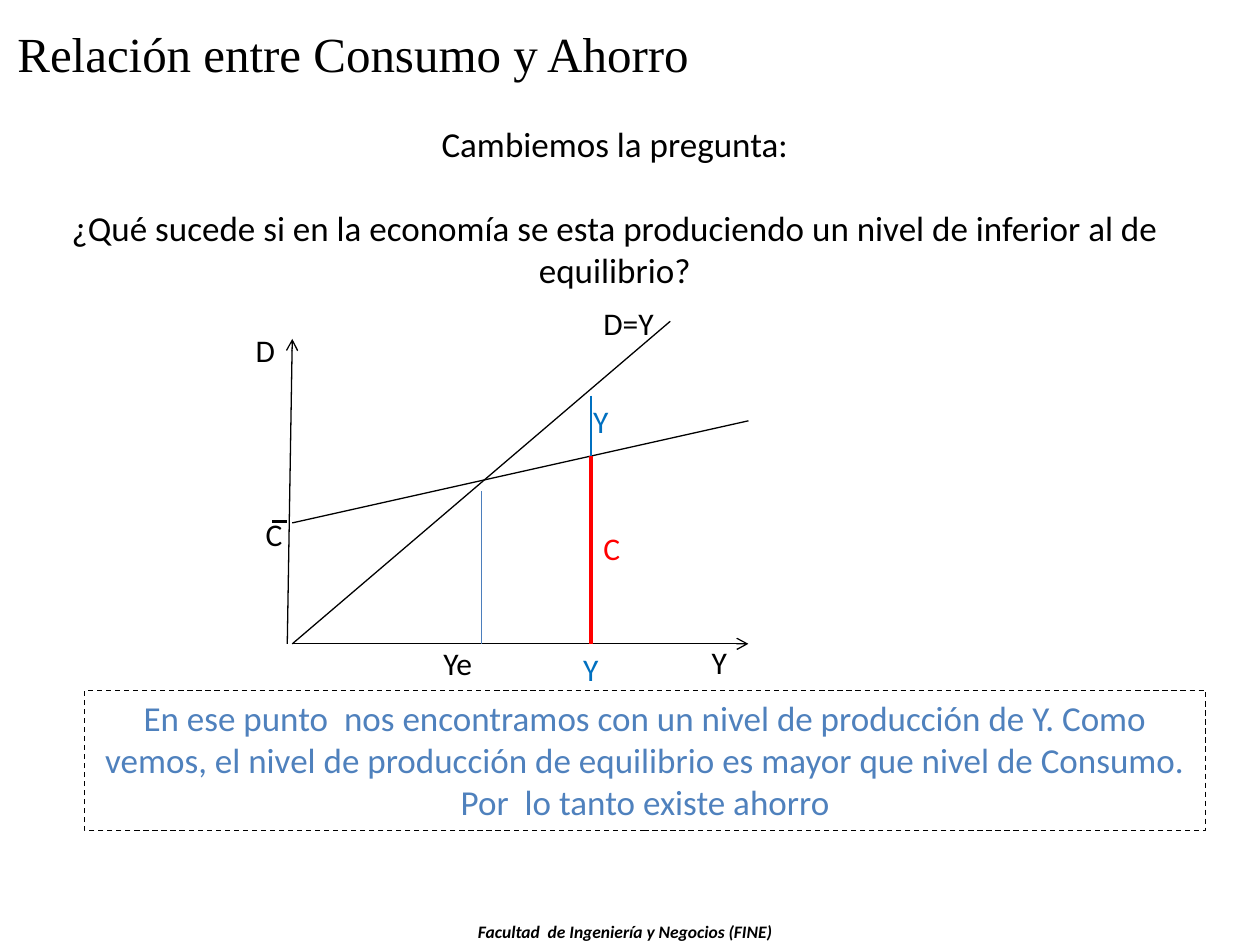
import pptx
import pptx.dml.color
import pptx.enum.dml
import pptx.enum.shapes
import pptx.enum.text
import pptx.oxml
import pptx.oxml.ns
import pptx.util

Inches = pptx.util.Inches
Align = pptx.enum.text.PP_ALIGN
Anchor = pptx.enum.text.MSO_ANCHOR
Fit = pptx.enum.text.MSO_AUTO_SIZE
COLORS = {
    "ink": "000000",
    "blue": "0070C0",
    "steel": "4B7EBC",
    "note": "4F81BD",
    "red": "FF0000",
}
BASE = 5.11
LEFT = 2.32
RIGHT = 5.94
LEVEL = 4.69

LINES = [
    ((2.28, BASE), (LEFT, 2.69), "ink", 0.75, True),
    ((LEFT, BASE), (RIGHT, BASE), "ink", 0.75, True),
    ((LEFT, BASE), (5.32, 2.55), "ink", 0.75, False),
    ((LEFT, 4.15), (RIGHT, 3.34), "ink", 0.75, False),
    ((3.82, 3.9), (3.82, BASE), "steel", 0.75, False),
    ((LEVEL, 3.14), (LEVEL, BASE), "blue", 0.75, False),
    ((LEVEL, 3.62), (LEVEL, BASE), "red", 2, False),
    ((2.16, 4.14), (2.28, 4.14), "ink", 1.5, False),
]
LABELS = [
    ("D", 1.93, 2.58, "ink"),
    ("C", 2.01, 4.04, "ink"),
    ("Y", 5.55, 5.05, "ink"),
    ("D=Y", LEVEL, 2.36, "ink"),
    ("Ye", 3.42, 5.06, "ink"),
    ("Y", 4.53, BASE, "blue"),
    ("Y", 4.61, 3.14, "blue"),
    ("C", LEVEL, 4.15, "red"),
]


def tint(name):
    return pptx.dml.color.RGBColor.from_string(COLORS[name])


def apply(item, values):
    for name, value in values.items():
        setattr(item, name, value)


def write(shape, texts, size, color="ink", align=Align.LEFT, gap=0,
          anchor=Anchor.TOP, fit=Fit.SHAPE_TO_FIT_TEXT, **style):
    frame = shape.text_frame
    apply(frame, {"word_wrap": True, "auto_size": fit, "vertical_anchor": anchor})
    face = {"name": "Calibri", "size": pptx.util.Pt(size), **style}
    for index, text in enumerate(texts):
        para = frame.add_paragraph() if index else frame.paragraphs[0]
        para.alignment = align
        if index and gap:
            para.space_before = pptx.util.Pt(gap)
        run = para.add_run()
        run.text = text
        apply(run.font, face)
        run.font.color.rgb = tint(color)


def add_text(shapes, area, texts, size, **style):
    box = shapes.add_textbox(*map(Inches, area))
    write(box, texts, size, **style)


def add_line(shapes, start, end, color, width, arrow):
    line = shapes.add_connector(
        pptx.enum.shapes.MSO_CONNECTOR.STRAIGHT, *map(Inches, start + end))
    line.line.color.rgb = tint(color)
    line.line.width = pptx.util.Pt(width)
    make = pptx.oxml.ns.qn
    props = line._element.spPr
    props.append(props.makeelement(make("a:effectLst"), {}))
    if arrow:
        edge = line.line._get_or_add_ln()
        edge.append(edge.makeelement(make("a:tailEnd"), {"type": "arrow"}))


def add_note(shapes, area, text):
    box = shapes.add_shape(
        pptx.enum.shapes.MSO_SHAPE.RECTANGLE, *map(Inches, area))
    box.shadow.inherit = False
    box.fill.background()
    box.line.color.rgb = tint("ink")
    apply(box.line, {"width": pptx.util.Pt(0.75),
                     "dash_style": pptx.enum.dml.MSO_LINE.DASH})
    write(box, [text], 20, color="note", align=Align.CENTER)


def add_graph(shapes):
    group = shapes.add_group_shape().shapes
    for line in LINES:
        add_line(group, *line)
    for text, left, top, color in LABELS:
        width = 1.02 if len(text) > 2 else 0.63
        add_text(group, (left, top, width, 0.38), [text], 18, color=color)


def main():
    deck = pptx.Presentation()
    apply(deck, {"slide_width": Inches(10), "slide_height": Inches(7.5)})
    shapes = deck.slides.add_slide(deck.slide_layouts[6]).shapes
    add_graph(shapes)
    add_text(shapes, (0.04, 0.05, 8.5, 0.65), ["Relación entre Consumo y Ahorro"],
             28, name="Times New Roman", anchor=Anchor.BOTTOM, fit=Fit.NONE)
    add_text(shapes, (0.43, 0.92, 8.9, 1.45), [
        "Cambiemos la pregunta:",
        "¿Qué sucede si en la economía se esta produciendo un nivel de "
        "inferior al de equilibrio?",
    ], 20, align=Align.CENTER, gap=24)
    add_note(shapes, (0.67, 5.48, 8.9, 1.11),
             "En ese punto  nos encontramos con un nivel de producción de Y. "
             "Como vemos, el nivel de producción de equilibrio es mayor que "
             "nivel de Consumo. Por  lo tanto existe ahorro")
    add_text(shapes, (2.52, 7.26, 4.88, 0.27),
             ["Facultad  de Ingeniería y Negocios (FINE)"], 10,
             align=Align.CENTER, bold=True, italic=True)
    deck.save("out.pptx")


if __name__ == "__main__":
    main()
